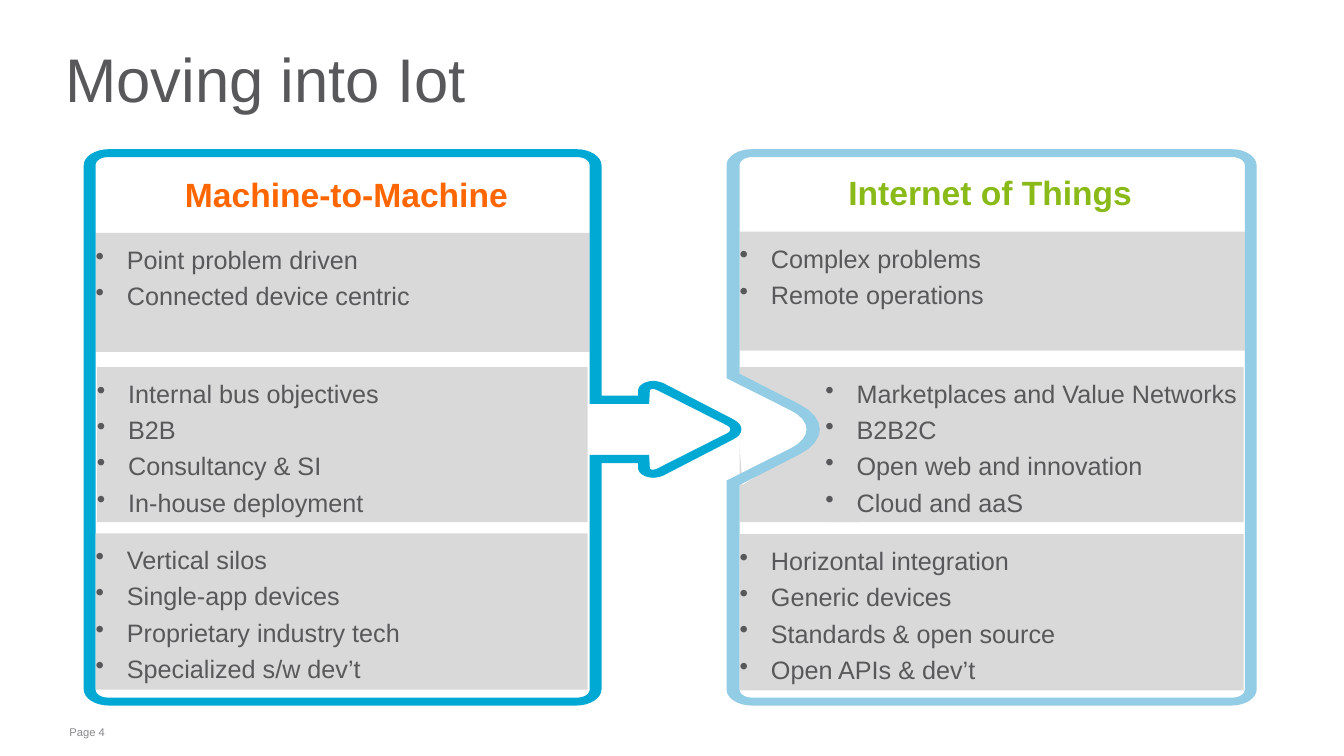
import math
from dataclasses import dataclass

from lxml import etree
from pptx import Presentation
from pptx.dml.color import RGBColor
from pptx.enum import shapes, text
from pptx.oxml import ns
from pptx.util import Cm, Pt

COLORS = {
    "white": "FFFFFF",
    "band": "D9D9D9",
    "body": "58585A",
    "page": "87888A",
    "orange": "FF6600",
    "green": "89BA17",
    "blue": "00A9D4",
    "light_blue": "92CCE5",
}
FONT = "Arial"
STRETCH = 1.55  # corners are this much wider than tall
AXIS = 10.82  # height of the arrow and notch tips
CURVE_STEPS = 8
INDENT = 0.79


@dataclass
class Box:
    left: float
    top: float
    width: float
    height: float

    def lengths(self) -> list:
        return [Cm(v) for v in (self.left, self.top, self.width, self.height)]


@dataclass
class Corner:
    x: float
    y: float
    radius: float = 0

    def mirrored(self) -> "Corner":
        return Corner(self.x, 2 * AXIS - self.y, self.radius)


@dataclass
class Band:
    box: Box
    bullets: list[str]


@dataclass
class Panel:
    heading: str
    heading_box: Box
    heading_color: str
    frame_color: str
    contours: list[list[Corner]]
    bands: list[Band]


def mirror_bump(upper: list[Corner], tip: Corner) -> list[Corner]:
    """Corners from the upper edge round the tip to the lower edge."""
    return upper + [tip] + [corner.mirrored() for corner in reversed(upper)]


def frame_contour(left: float, top: float, right: float, bottom: float, radius: float,
                  arrow: list[Corner] = (), notch: list[Corner] = ()) -> list[Corner]:
    """Clockwise rectangle, with an arrow on its right or a notch in its left side."""
    return [Corner(left, top, radius), Corner(right, top, radius), *arrow,
            Corner(right, bottom, radius), Corner(left, bottom, radius), *reversed(notch)]


def smooth(corners: list[Corner]) -> list[tuple]:
    """Replace each rounded corner by points on a curve."""
    points = []
    for i, corner in enumerate(corners):
        if not corner.radius:
            points.append((corner.x, corner.y))
            continue
        ends = []
        for other in (corners[i - 1], corners[(i + 1) % len(corners)]):
            dx, dy = other.x - corner.x, other.y - corner.y
            part = corner.radius / math.hypot(dx / STRETCH, dy)
            ends.append((corner.x + dx * part, corner.y + dy * part))
        for step in range(CURVE_STEPS + 1):
            t = step / CURVE_STEPS
            start = (1 - t) ** 3 + 1.35 * t * (1 - t) ** 2
            end = t ** 3 + 1.35 * t ** 2 * (1 - t)
            points.append(tuple(
                start * a + end * b + (1 - start - end) * c
                for a, b, c in zip(ends[0], ends[1], (corner.x, corner.y))))
    return points


def paint(shape, color: str) -> None:
    shape.shadow.inherit = False
    shape.fill.solid()
    shape.fill.fore_color.rgb = RGBColor.from_string(COLORS[color])
    shape.line.fill.background()


def draw_outline(slide, contours: list[list[tuple]], color: str):
    """Filled outline; contours after the first are holes."""
    builder = None
    for number, points in enumerate(contours):
        points = [(Cm(x), Cm(y)) for x, y in (reversed(points) if number else points)]
        if builder is None:
            builder = slide.shapes.build_freeform(*points[0], scale=1.0)
        else:
            builder.move_to(*points[0])
        builder.add_line_segments(points[1:], close=True)
    shape = builder.convert_to_shape()
    paint(shape, color)
    return shape


def write(shape, lines: list[str], size: float, color: str, spacing: float = 1.2,
          bold: bool = False, align=text.PP_ALIGN.LEFT, anchor=text.MSO_ANCHOR.TOP,
          margin: float = 0, margin_top: float = 0.13, bullets: bool = False) -> None:
    frame = shape.text_frame
    frame.word_wrap = True
    frame.vertical_anchor = anchor
    frame.margin_left = frame.margin_right = Cm(margin)
    frame.margin_top = frame.margin_bottom = Cm(margin_top)
    frame.text = "\n".join(lines)
    for paragraph in frame.paragraphs:
        paragraph.alignment = align
        paragraph.line_spacing = spacing
        paragraph.font.name = FONT
        paragraph.font.size = Pt(size)
        paragraph.font.bold = bold
        paragraph.font.color.rgb = RGBColor.from_string(COLORS[color])
        if bullets:
            properties = paragraph._p.get_or_add_pPr()
            properties.set("marL", str(Cm(INDENT)))
            properties.set("indent", str(-Cm(INDENT)))
            bullet = etree.Element(ns.qn("a:buChar"), char="•")
            properties.find(ns.qn("a:defRPr")).addprevious(bullet)


def draw_band(slide, band: Band) -> None:
    shape = slide.shapes.add_shape(shapes.MSO_SHAPE.RECTANGLE, *band.box.lengths())
    paint(shape, "band")
    if band.bullets:
        write(shape, band.bullets, 18, "body", bullets=True)


ARROW_OUTER = mirror_bump(
    [Corner(15.16, 9.97), Corner(16.08, 9.97), Corner(16.08, 9.6, 0.25), Corner(16.61, 9.6, 0.1)],
    Corner(18.97, AXIS, 0.4))
ARROW_INNER = mirror_bump(
    [Corner(14.86, 10.18), Corner(16.36, 10.18), Corner(16.38, 9.8, 0.05), Corner(16.5, 9.8, 0.05)],
    Corner(18.52, AXIS, 0.16))
NOTCH_OUTER = mirror_bump([Corner(18.31, 9.53)], Corner(20.88, AXIS, 0.77))
NOTCH_INNER = mirror_bump([Corner(18.64, 9.42)], Corner(21.39, AXIS, 1.02))
NOTCH_BACKING = [(18.59, 9.6), (20.17, 10.29), (20.52, 10.59), (20.47, 10.95),
                 (20.09, 11.35), (18.64, 12.17)]

PANELS = [
    Panel("Internet of Things", Box(18.44, 4.01, 13.03, 1.45), "green", "light_blue",
          [frame_contour(18.31, 3.76, 31.67, 17.78, 0.41, notch=NOTCH_OUTER),
           frame_contour(18.64, 3.96, 31.37, 17.58, 0.2, notch=NOTCH_INNER)],
          [Band(Box(18.64, 9.25, 3, 3.91), []),
           Band(Box(20.8, 9.25, 10.54, 3.91), ["Marketplaces and Value Networks", "B2B2C",
                                               "Open web and innovation", "Cloud and aaS"]),
           Band(Box(18.64, 5.84, 12.78, 3), ["Complex problems", "Remote operations"]),
           Band(Box(18.64, 13.46, 12.7, 3.94), ["Horizontal integration", "Generic devices",
                                                "Standards & open source",
                                                "Open APIs & dev’t"])]),
    Panel("Machine-to-Machine", Box(2.34, 4.06, 12.78, 1.45), "orange", "blue",
          [frame_contour(2.11, 3.76, 15.16, 17.78, 0.41, arrow=ARROW_OUTER),
           frame_contour(2.41, 3.96, 14.86, 17.58, 0.2, arrow=ARROW_INNER)],
          [Band(Box(2.41, 5.87, 12.45, 3), ["Point problem driven", "Connected device centric"]),
           Band(Box(2.44, 9.25, 12.37, 3.91), ["Internal bus objectives", "B2B",
                                               "Consultancy & SI", "In-house deployment"]),
           Band(Box(2.41, 13.44, 12.4, 3.94), ["Vertical silos", "Single-app devices",
                                               "Proprietary industry tech",
                                               "Specialized s/w dev’t"])]),
]


def main() -> None:
    presentation = Presentation()
    presentation.slide_width, presentation.slide_height = Cm(33.87), Cm(19.05)
    slide = presentation.slides.add_slide(presentation.slide_layouts[6])

    page = slide.shapes.add_textbox(*Box(1.47, 18.14, 27.4, 0.61).lengths())
    write(page, ["Page 4"], 8, "page", spacing=1, margin=0.28)
    title = slide.shapes.add_textbox(*Box(1.45, 0.66, 27.76, 3.02).lengths())
    write(title, ["Moving into Iot"], 44, "body", spacing=0.75, margin=0.2, margin_top=0,
          anchor=text.MSO_ANCHOR.MIDDLE)

    for panel in PANELS:
        *upper_bands, last_band = panel.bands
        for band in upper_bands:
            draw_band(slide, band)
        if panel.frame_color == "light_blue":
            draw_outline(slide, [NOTCH_BACKING], "white").rotation = 356.8
        heading = slide.shapes.add_textbox(*panel.heading_box.lengths())
        write(heading, [panel.heading], 24, panel.heading_color, bold=True,
              align=text.PP_ALIGN.CENTER)
        draw_outline(slide, [smooth(contour) for contour in panel.contours], panel.frame_color)
        draw_band(slide, last_band)
    presentation.save("out.pptx")


if __name__ == "__main__":
    main()
